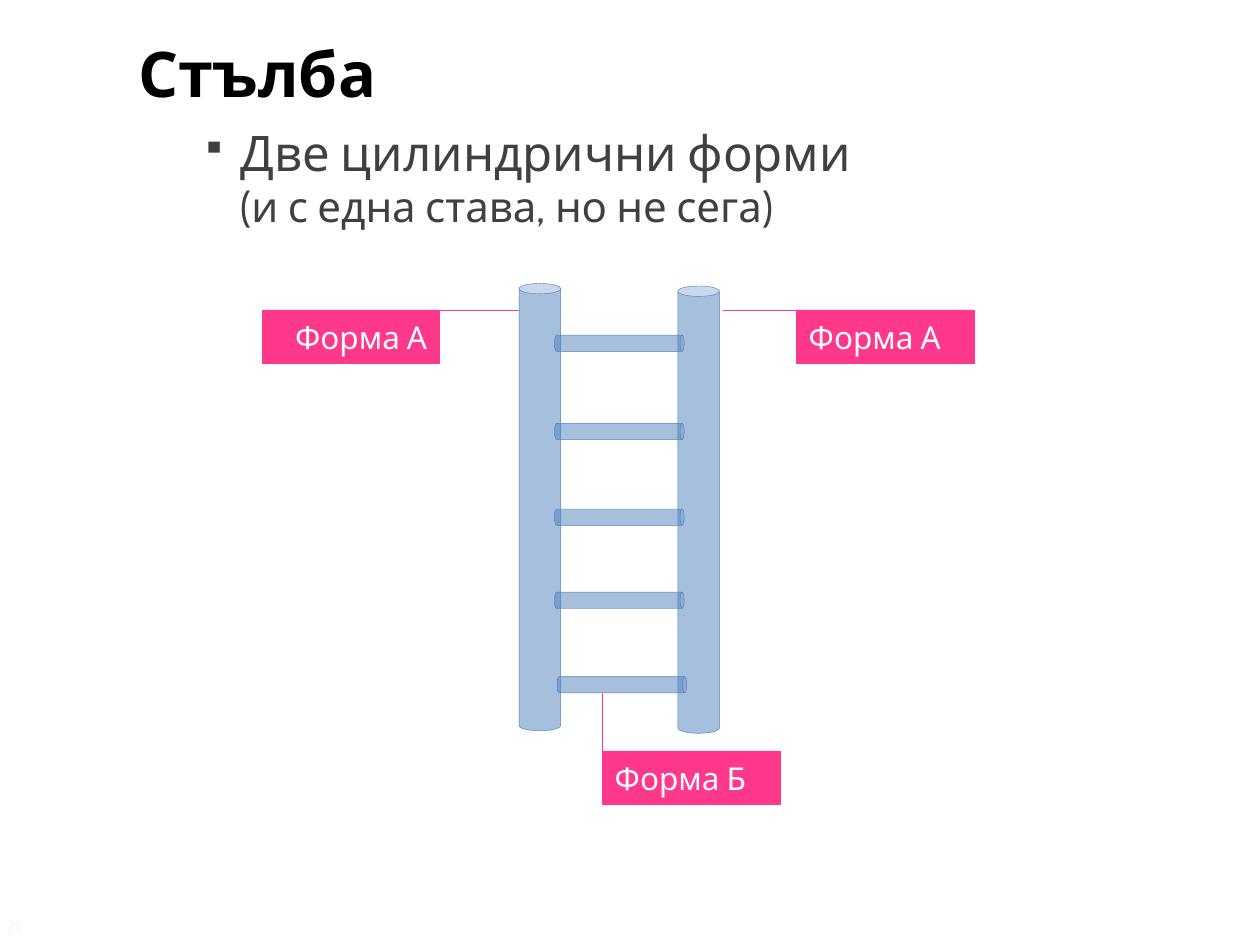
from dataclasses import dataclass

import pptx
import pptx.dml.color
import pptx.enum.shapes
import pptx.enum.text
import pptx.oxml
import pptx.oxml.ns
import pptx.util
from lxml import etree

Inches = pptx.util.Inches
Pt = pptx.util.Pt
Align = pptx.enum.text.PP_ALIGN
Anchor = pptx.enum.text.MSO_ANCHOR
Preset = pptx.enum.shapes.MSO_SHAPE
qn = pptx.oxml.ns.qn

FONT = "Cabin"
PINK, STEEL, DARK = "FF388C", "4F81BD", "404040"
LABEL_WIDTH, LABEL_HEIGHT = 1.41, 0.42


@dataclass
class Cylinder:
    left: float
    top: float
    width: float
    height: float
    rotation: int = 0


@dataclass
class Callout:
    text: str
    left: float
    top: float
    start: tuple[float, float]
    end: tuple[float, float]
    align: Align = Align.LEFT


def color(value: str) -> pptx.dml.color.RGBColor:
    return pptx.dml.color.RGBColor.from_string(value)


def style_text(para, size: float, value: str, bold: bool = False) -> None:
    para.font.name = FONT
    para.font.size = Pt(size)
    para.font.bold = bold
    para.font.color.rgb = color(value)


def paint(shape, value: str) -> None:
    shape.shadow.inherit = False
    shape.fill.solid()
    shape.fill.fore_color.rgb = color(value)
    shape.line.color.rgb = color(value)
    shape.line.width = Pt(0.25)


def draw_cylinder(group, item: Cylinder) -> None:
    can = group.shapes.add_shape(
        Preset.CAN, Inches(item.left), Inches(item.top),
        Inches(item.width), Inches(item.height))
    can.rotation = item.rotation
    paint(can, STEEL)
    fill_color = can.fill._xPr.find(qn("a:solidFill"))[0]
    etree.SubElement(fill_color, qn("a:alpha"), val="50000")


def draw_callout(page, item: Callout) -> None:
    group = page.shapes.add_group_shape()
    label = group.shapes.add_shape(
        Preset.RECTANGLE, Inches(item.left), Inches(item.top),
        Inches(LABEL_WIDTH), Inches(LABEL_HEIGHT))
    paint(label, PINK)
    label.text_frame.vertical_anchor = Anchor.MIDDLE
    para = label.text_frame.paragraphs[0]
    para.text = item.text
    para.alignment = item.align
    style_text(para, 18, "FFFFFF")

    leader = group.shapes.add_connector(
        pptx.enum.shapes.MSO_CONNECTOR.STRAIGHT,
        *(Inches(value) for value in item.start + item.end))
    leader.line.color.rgb = color(PINK)
    leader.line.width = Pt(0.25)
    etree.SubElement(leader._element.spPr, qn("a:effectLst"))


def add_text_box(page, left: float, top: float, width: float, height: float):
    box = page.shapes.add_textbox(
        Inches(left), Inches(top), Inches(width), Inches(height))
    box.text_frame.word_wrap = True
    return box.text_frame


def indent(para, margin: float, first: float, bullet: str = "") -> None:
    props = para._p.get_or_add_pPr()
    props.set("marL", str(Inches(margin)))
    props.set("indent", str(Inches(first)))
    if bullet:
        etree.SubElement(props, qn("a:buSzPct"), val="70000")
        etree.SubElement(props, qn("a:buChar"), char=bullet)


def main() -> None:
    deck = pptx.Presentation()
    deck.slide_width, deck.slide_height = Inches(10), Inches(7.5)
    page = deck.slides.add_slide(deck.slide_layouts[5])

    # Title
    title = page.shapes.title
    title.left, title.top = Inches(1), Inches(0.22)
    title.width, title.height = Inches(8.92), Inches(0.7)
    title.text_frame.text = "Стълба"
    title.text_frame.vertical_anchor = Anchor.TOP
    heading = title.text_frame.paragraphs[0]
    heading.alignment = Align.LEFT
    style_text(heading, 36, "000000", bold=True)

    # Description
    frame = add_text_box(page, 1, 0.92, 8.92, 1.1)
    main_point = frame.paragraphs[0]
    main_point.text = "Две цилиндрични форми"
    style_text(main_point, 28, DARK)
    indent(main_point, 0.81, -0.31, "▪")
    remark = frame.add_paragraph()
    remark.text = "(и с една става, но не сега)"
    style_text(remark, 24, DARK)
    indent(remark, 0.81, 0)

    # Ladder: rungs first, then the two rails over their ends
    rungs = [Cylinder(left, top, 0.13, 1.03, 90) for left, top in
             [(4.85, 2.21), (4.85, 2.91), (4.85, 3.59), (4.85, 4.25), (4.87, 4.92)]]
    rails = [Cylinder(left, top, 0.33, 3.55)
             for left, top in [(5.38, 2.27), (4.12, 2.25)]]
    ladder = page.shapes.add_group_shape()
    for part in rungs + rails:
        draw_cylinder(ladder, part)

    # Labels with leader lines
    for callout in [
        Callout("Форма А", 2.08, 2.46, (2.29, 2.46), (4.12, 2.46), Align.RIGHT),
        Callout("Форма А", 6.32, 2.46, (5.74, 2.46), (6.65, 2.46)),
        Callout("Форма Б", 4.78, 5.96, (4.78, 5.5), (4.78, 6.38)),
    ]:
        draw_callout(page, callout)

    # Page number
    frame = add_text_box(page, 0, 7.22, 0.5, 0.28)
    frame.margin_left = Inches(0.05)
    number = frame.paragraphs[0]
    number.text = "21"
    style_text(number, 10, "F8F8F8")

    deck.save("out.pptx")


if __name__ == "__main__":
    main()
